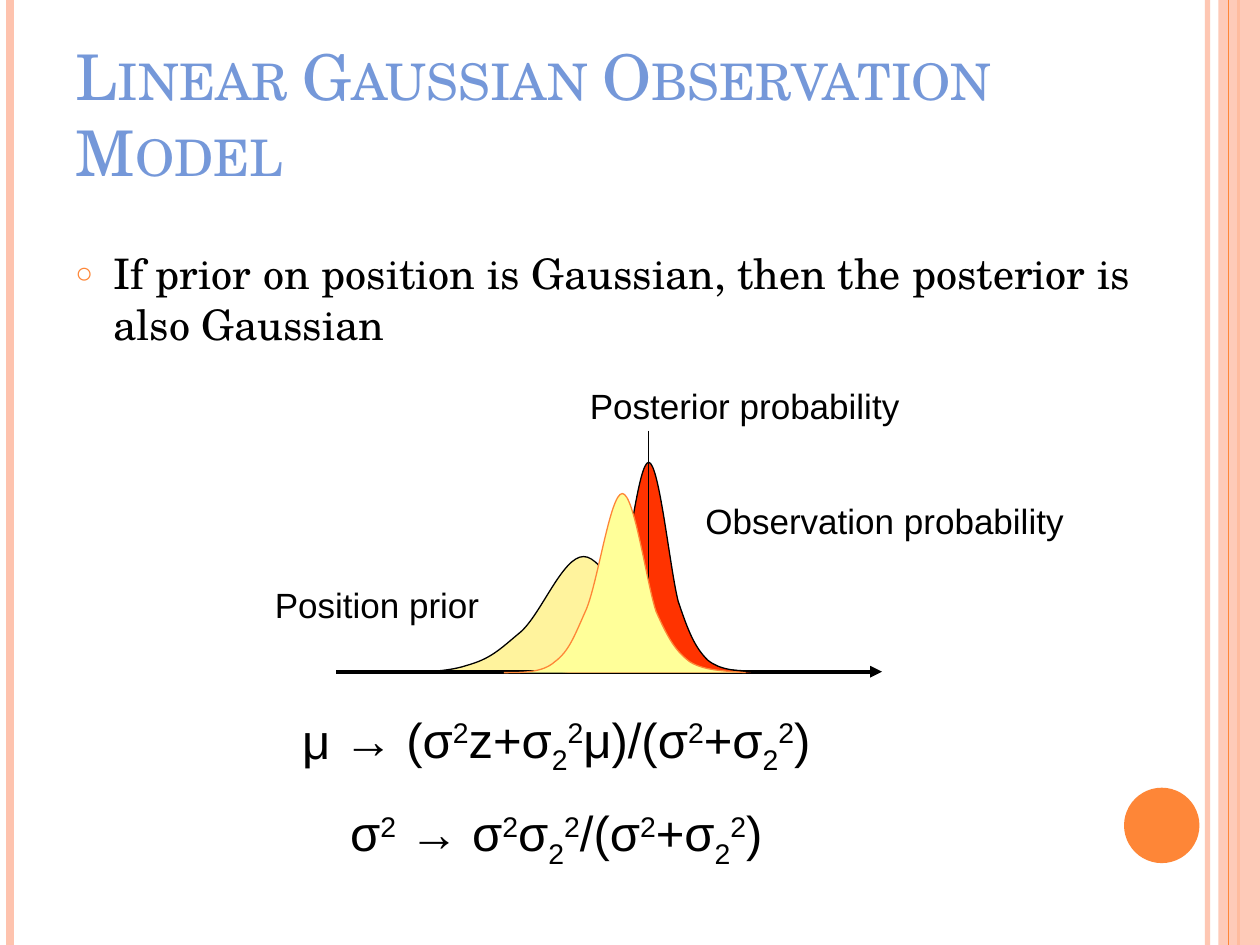
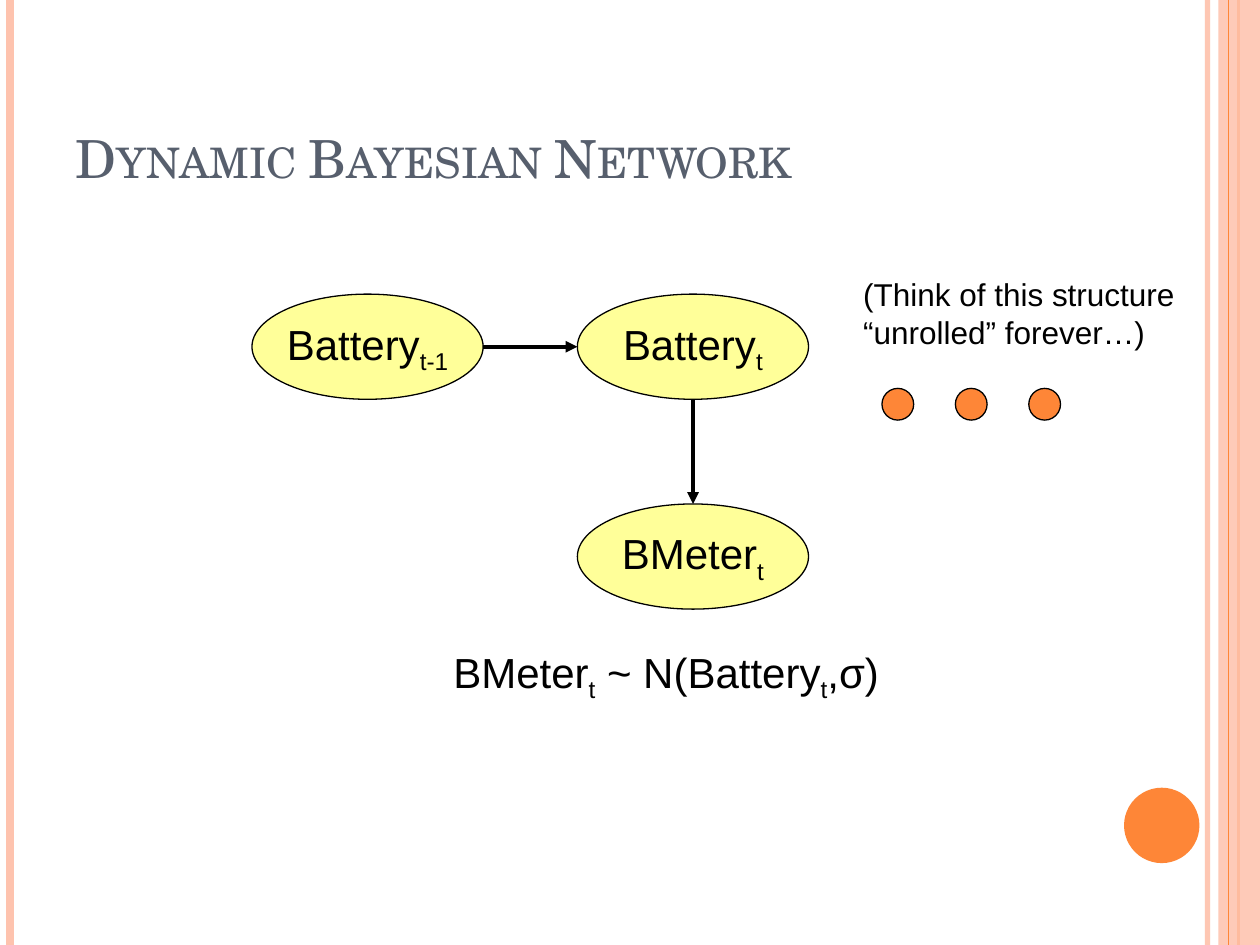
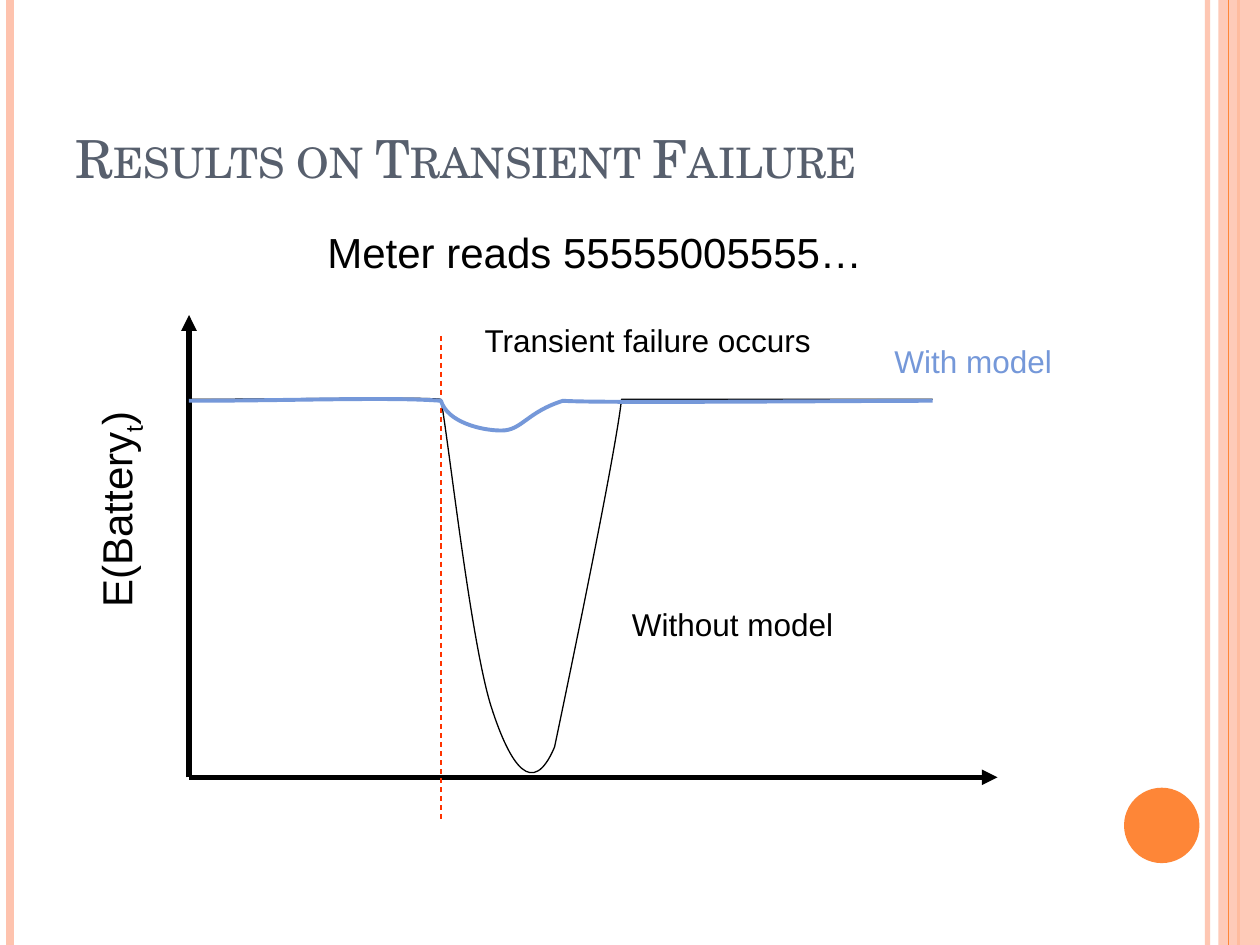
from lxml import etree
from pptx import Presentation
from pptx import util as u
from pptx.dml.color import RGBColor
from pptx.enum import dml, shapes, text
from pptx.oxml import ns

Cm, Pt = u.Cm, u.Pt
COLORS = {
    "black": "000000", "blue": "7598D9", "slate": "575F6D", "orange": "FE8637",
    "peach": "FEC3AE", "red": "FF3300", "cream": "FFF39D", "yellow": "FFFF99",
}
SUB, SUP = -25, 30
SUB_T = ("t", SUB)
SQ = ("2", SUP)
SIGMA2_SQ = [("2", SUB), SQ]

# Bell outline as Bezier points in fractions of its box
BELL = [
    (0, 1), (.08, 1), (.16, 1), (.21, .94), (.27, .88), (.29, .8), (.34, .65),
    (.39, .49), (.44, 0), (.49, 0), (.54, 0), (.59, .5), (.63, .66),
    (.68, .81), (.71, .88), (.77, .94), (.83, .99), (.91, .99), (1, 1),
]


def rgb(name):
    return RGBColor.from_string(COLORS[name])


def sub(parent, tag, **attrs):
    return etree.SubElement(parent, ns.qn(tag), attrs)


def add_alpha(parent, percent):
    color = parent.find(".//" + ns.qn("a:srgbClr"))
    sub(color, "a:alpha", val=str(percent * 1000))


class Deck:
    title_font, body_font = "TeX Gyre Schola", "Arial"
    width, height = 25.4, 19.05

    def __init__(self):
        self.prs = Presentation()
        self.prs.slide_width, self.prs.slide_height = Cm(self.width), Cm(self.height)
        self.layout = self.prs.slide_layouts[5]
        self.s = None

    def slide(self, title, size=30, color="slate"):
        self.s = self.prs.slides.add_slide(self.layout)
        if len(self.prs.slides) == 1:
            self.bands()
        sp = self.s.shapes.title
        sp.left, sp.top, sp.width, sp.height = Cm(1.27), Cm(.76), Cm(20.75), Cm(3.18)
        tf = sp.text_frame
        tf.word_wrap, tf.auto_size = True, text.MSO_AUTO_SIZE.NONE
        tf.vertical_anchor = text.MSO_ANCHOR.BOTTOM
        p = tf.paragraphs[0]
        p.alignment = text.PP_ALIGN.LEFT
        self.runs(p, [title], size, color, self.title_font)
        p.runs[0].font._element.set("cap", "small")

    def bands(self):
        """Draw the side bands once and move them to the shared layout."""
        parts = [
            self.line((24.34, 0), (24.34, self.height), "peach", 3, alpha=93),
            self.line((.21, 0), (.21, self.height), "peach", 4.5),
            self.line((24.97, 0), (24.97, self.height), "orange", 1.5),
            self.shape("RECTANGLE", 24.56, 0, .84, self.height, "peach", None),
            self.line((24.77, 0), (24.77, self.height), "orange", .75),
            self.shape("OVAL", 22.66, 15.88, 1.52, 1.52, "orange", None),
        ]
        add_alpha(parts[3].element.spPr, 87)
        for i, sp in enumerate(parts):
            sp.element[0][0].set("id", str(100 + i))
            self.layout.shapes.element.insert(2 + i, sp.element)

    def runs(self, p, parts, size, color="black", font=None):
        """Each part is a string, or a (string, baseline percent) pair."""
        for part in parts:
            content, baseline = part if isinstance(part, tuple) else (part, 0)
            r = p.add_run()
            r.text = content
            r.font.size, r.font.name = Pt(size), font or self.body_font
            r.font.color.rgb = rgb(color)
            if baseline:
                r.font._element.set("baseline", str(baseline * 1000))

    def text(self, x, y, w, h, paragraphs, size, color="black", font=None,
             centered=False, rotation=0):
        sp = self.s.shapes.add_textbox(Cm(x), Cm(y), Cm(w), Cm(h))
        sp.rotation = rotation
        tf = sp.text_frame
        tf.word_wrap = True
        for i, parts in enumerate(paragraphs):
            p = tf.add_paragraph() if i else tf.paragraphs[0]
            if i:
                p.space_before = Pt(.55 * size)
            if centered:
                p.alignment = text.PP_ALIGN.CENTER
            self.runs(p, parts, size, color, font)
        return tf

    def bullet(self, p, char, color="black", percent=100, indent=0):
        pPr = p._p.get_or_add_pPr()
        pPr.set("marL", str(Cm(indent)))
        pPr.set("indent", str(-Cm(indent)))
        sub(sub(pPr, "a:buClr"), "a:srgbClr", val=COLORS[color])
        sub(pPr, "a:buSzPct", val=str(percent * 1000))
        sub(pPr, "a:buFont", typeface=self.body_font)
        sub(pPr, "a:buChar", char=char)

    def paint(self, sp, fill, line, weight=.75):
        sp.shadow.inherit = False
        if fill:
            sp.fill.solid()
            sp.fill.fore_color.rgb = rgb(fill)
        else:
            sp.fill.background()
        if line:
            sp.line.color.rgb, sp.line.width = rgb(line), Pt(weight)
        else:
            sp.line.fill.background()

    def shape(self, kind, x, y, w, h, fill, line="black"):
        sp = self.s.shapes.add_shape(shapes.MSO_SHAPE[kind], Cm(x), Cm(y), Cm(w), Cm(h))
        self.paint(sp, fill, line)
        return sp

    def node(self, x, y, parts):
        tf = self.shape("OVAL", x, y, 4.66, 2.12, "yellow").text_frame
        tf.word_wrap = False
        tf.vertical_anchor = text.MSO_ANCHOR.MIDDLE
        tf.paragraphs[0].alignment = text.PP_ALIGN.CENTER
        self.runs(tf.paragraphs[0], parts, 24)

    def line(self, start, end, color="black", weight=.75, arrow=False, dashed=False,
             alpha=None):
        c = self.s.shapes.add_connector(shapes.MSO_CONNECTOR.STRAIGHT,
                                        *map(Cm, start + end))
        c.line.color.rgb, c.line.width = rgb(color), Pt(weight)
        if dashed:
            c.line.dash_style = dml.MSO_LINE.DASH
        spPr = c.element.spPr
        if alpha:
            add_alpha(spPr, alpha)
        if arrow:
            sub(spPr.find(ns.qn("a:ln")), "a:tailEnd", type="triangle")
        sub(spPr, "a:effectLst")
        return c

    def curve(self, points, fill=None, line="black", weight=.75):
        """A start point, then three Bezier points per curve."""
        outline = [(Cm(x), Cm(y)) for x, y in points]
        builder = self.s.shapes.build_freeform(*outline[0])
        builder.add_line_segments(outline[1:], close=False)
        sp = builder.convert_to_shape()
        route = sp.element.find(".//" + ns.qn("a:path"))
        segments = route.findall(ns.qn("a:lnTo"))
        for i in range(0, len(segments), 3):
            cubic = sub(route, "a:cubicBezTo")
            for segment in segments[i:i + 3]:
                cubic.append(segment[0])
                route.remove(segment)
        self.paint(sp, fill, line, weight)

    def bell(self, x, y, w, h, fill, line="black"):
        self.curve([(x + fx * w, y + fy * h) for fx, fy in BELL], fill, line)


def gaussian_slide(d):
    d.slide("Linear Gaussian Observation Model", 36, "blue")
    claim = "If prior on position is Gaussian, then the posterior is also Gaussian"
    tf = d.text(1.27, 4.87, 22.86, 10.8, [[claim]], 24, font=d.title_font)
    d.bullet(tf.paragraphs[0], "○", "orange", 70, .76)

    # Prior, axis and update formulas; the updated mean is the first line's marker
    d.bell(7.62, 11.22, 8.46, 2.34, "cream")
    d.line((6.78, 13.54), (17.78, 13.54), weight=2.25, arrow=True)
    denominator = ["/(σ", SQ, "+σ", *SIGMA2_SQ, ")"]
    mean = [" → (σ", SQ, "z+σ", *SIGMA2_SQ, "μ)", *denominator]
    variance = ["σ", SQ, " → σ", SQ, "σ", *SIGMA2_SQ, *denominator]
    tf = d.text(1.27, 14.17, 19.89, 3.23, [mean, variance], 28, centered=True)
    d.bullet(tf.paragraphs[0], "μ")

    # Labels, then posterior and observation curves
    for x, y, label in [(5.29, 11.63, "Position prior"),
                        (11.64, 7.62, "Posterior probability"),
                        (13.97, 9.95, "Observation probability")]:
        d.text(x, y, 12.5, 1.09, [[label]], 20)
    d.bell(11, 9.32, 4.24, 4.24, "red")
    d.line((13.08, 8.68), (13.08, 13.54))
    d.bell(10.16, 9.95, 4.87, 3.61, "yellow", "orange")


def network_slide(d):
    d.slide("Dynamic Bayesian Network")

    # Nodes and arrows
    d.node(11.64, 10.16, ["BMeter", SUB_T])
    d.node(11.64, 5.93, ["Battery", SUB_T])
    d.node(5.08, 5.93, ["Battery", ("t-1", SUB)])
    d.line((9.74, 6.99), (11.64, 6.99), weight=2.25, arrow=True)
    d.line((13.97, 8.05), (13.97, 10.16), weight=2.25, arrow=True)
    d.text(8.89, 12.9, 9.95, 1.27,
           [["BMeter", SUB_T, " ~ N(Battery", SUB_T, ",σ)"]], 24)

    # Continuation dots
    for i in range(3):
        d.shape("OVAL", 17.78 + 1.48 * i, 7.83, .64, .64, "orange")
    d.text(17.15, 5.42, 7.2, 1.78, [["(Think of this structure “unrolled” forever…)"]], 18)


def results_slide(d):
    d.slide("Results on Transient Failure")

    # Axes and the moment of failure
    origin = (3.81, 15.67)
    for end in [(3.81, 6.35), (20.11, 15.67)]:
        d.line(origin, end, weight=3, arrow=True)
    d.text(-.31, 9.22, 5.28, 1.27, [["E(Battery", SUB_T, ")"]], 24, rotation=270)
    d.line((8.89, 6.77), (8.89, 16.51), "red", dashed=True)
    d.text(9.52, 6.35, 7.83, 1.02, [["Transient failure occurs"]], 18)

    # Estimates without and with the model
    d.curve([(3.81, 8.05), (5.87, 8.05), (8.46, 8), (8.89, 8.05),
             (9.07, 9.09), (9.5, 13), (9.91, 14.27),
             (10.29, 15.44), (10.74, 16.1), (11.18, 15.06),
             (11.18, 15.06), (12.4, 9.27), (12.53, 8.05),
             (13.89, 8.05), (17.5, 8.05), (18.8, 8.05)])
    d.text(12.49, 12.07, 5.72, 1.02, [["Without model"]], 18)
    d.curve([(3.81, 8.08), (5.87, 8.08), (7.85, 8), (8.89, 8.08),
             (9.02, 8.51), (9.7, 8.68), (10.11, 8.68),
             (10.52, 8.68), (10.62, 8.31), (11.35, 8.08),
             (11.99, 8.13), (17.25, 8.08), (18.8, 8.08)], line="blue", weight=2.25)
    d.text(17.78, 6.78, 5.72, 1.02, [["With model"]], 18, "blue")
    d.text(6.35, 4.45, 13.34, 1.27, [["Meter reads 55555005555…"]], 24)


def main():
    d = Deck()
    gaussian_slide(d)
    network_slide(d)
    results_slide(d)
    d.prs.save("out.pptx")


if __name__ == "__main__":
    main()
